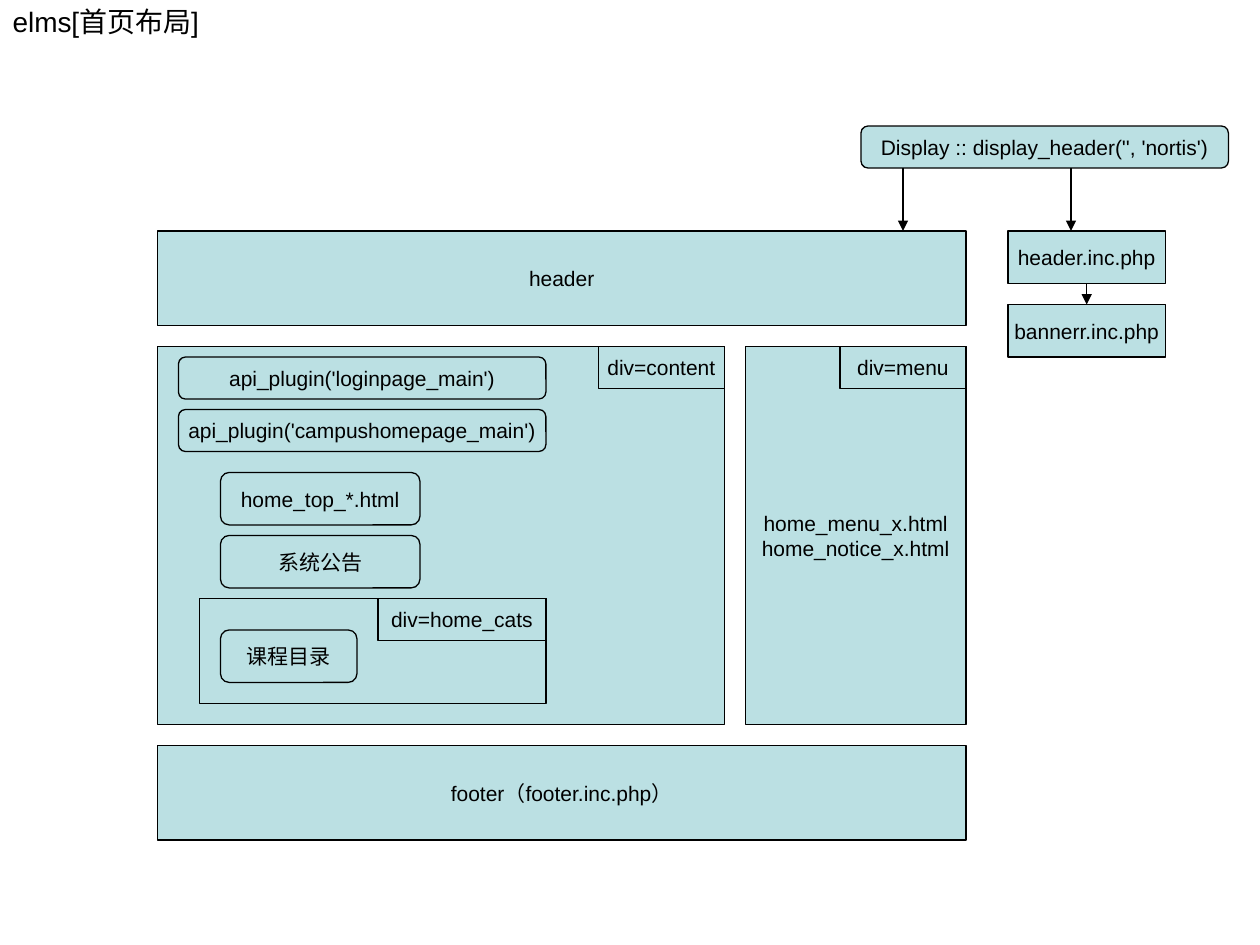
from lxml import etree
from pptx import Presentation
from pptx.dml.color import RGBColor
from pptx.enum.shapes import MSO_CONNECTOR, MSO_SHAPE
from pptx.enum.text import MSO_ANCHOR, MSO_AUTO_SIZE, PP_ALIGN
from pptx.oxml.ns import qn
from pptx.util import Pt

RECT = MSO_SHAPE.FLOWCHART_PROCESS
ROUND = MSO_SHAPE.FLOWCHART_ALTERNATE_PROCESS
LINE = MSO_CONNECTOR.STRAIGHT
LEFT, CENTER = PP_ALIGN.LEFT, PP_ALIGN.CENTER
BOTTOM, TOP = 2, 0

COLORS = {"fill": "BBE0E3", "ink": "000000"}
FRAME = {
    "vertical_anchor": MSO_ANCHOR.MIDDLE,
    "auto_size": MSO_AUTO_SIZE.NONE,
    "margin_left": Pt(7.2), "margin_right": Pt(7.2),
    "margin_top": Pt(3.6), "margin_bottom": Pt(3.6),
}
GAP = 12      # between page regions
TAG_H = 24    # height of a name tag or a call


def color(name):
    return RGBColor.from_string(COLORS[name])


def apply(item, values):
    for key, value in values.items():
        setattr(item, key, value)


def write(shape, text, size, align, wrap):
    frame = shape.text_frame
    frame.text = text
    apply(frame, FRAME)
    frame.word_wrap = wrap
    for par in frame.paragraphs:
        par.alignment = align
        for run in par.runs:
            apply(run.font, {"name": "Arial", "size": Pt(size)})
            run.font.color.rgb = color("ink")


def block(slide, kind, box, text=""):
    shape = slide.shapes.add_shape(kind, *map(Pt, box))
    shape.shadow.inherit = False
    shape.fill.solid()
    shape.fill.fore_color.rgb = color("fill")
    shape.line.color.rgb = color("ink")
    shape.line.width = Pt(0.75)
    if text:
        write(shape, text, 12, CENTER, False)
    return shape


def arrow(slide, x, top, end):
    line = slide.shapes.add_connector(LINE, Pt(x), Pt(top), Pt(x), Pt(end))
    line.line.color.rgb = color("ink")
    line.line.width = Pt(0.75)
    props = line.line._get_or_add_ln()
    etree.SubElement(props, qn("a:tailEnd"), type="triangle")
    etree.SubElement(props.getparent(), qn("a:effectLst"))
    return line


def region(slide, box, name, tag_w, text=""):
    """Box with its name tag in the top right corner."""
    x, y, w, h = box
    block(slide, RECT, box, text)
    block(slide, RECT, (x + w - tag_w, y, tag_w, TAG_H), name)


def title(slide, box):
    head = slide.shapes.title
    x, y, w, h = map(Pt, box)
    apply(head, {"left": x, "top": y, "width": w, "height": h})
    write(head, "elms[首页布局]", 16, LEFT, True)


def content(slide, box):
    x, y, w, h = box
    region(slide, box, "div=content", 72)
    # Plugin calls
    for i, name in enumerate(("loginpage_main", "campushomepage_main")):
        block(slide, ROUND, (x + 12, y + 6 + 30 * i, 210, TAG_H),
              f"api_plugin('{name}')")
    # Page parts
    for i, text in enumerate(("home_top_*.html", "系统公告")):
        block(slide, ROUND, (x + 36, y + 72 + 36 * i, 114, 30), text)
    # Course categories
    region(slide, (x + 24, y + 144, 198, 60), "div=home_cats", 96)
    block(slide, ROUND, (x + 36, y + 162, 78, 30), "课程目录")


def page(slide, box):
    x, y, w, h = box
    bar, menu_w = 54, 126
    mid, mid_h = y + bar + GAP, h - 2 * (bar + GAP)
    block(slide, RECT, (x, y, w, bar), "header")
    content(slide, (x, mid, w - menu_w - GAP, mid_h))
    region(slide, (x + w - menu_w, mid, menu_w, mid_h), "div=menu", 72,
           "home_menu_x.html\nhome_notice_x.html")
    block(slide, RECT, (x, y + h - bar, w, bar), "footer（footer.inc.php）")


def includes(slide, box):
    x, y, w, h = box
    row = (h - GAP) / 2
    first = block(slide, RECT, (x, y, w, row), "header.inc.php")
    last = block(slide, RECT, (x, y + row + GAP, w, row), "bannerr.inc.php")
    link = arrow(slide, x + w / 2, y + row, y + row + GAP)
    link.begin_connect(first, BOTTOM)
    link.end_connect(last, TOP)


def call(slide, box, end):
    x, y, w, h = box
    block(slide, ROUND, box, "Display :: display_header('', 'nortis')")
    for dx in (24, 120):
        arrow(slide, x + dx, y + h, end)


def main():
    deck = Presentation()
    deck.slide_width, deck.slide_height = Pt(720), Pt(540)
    slide = deck.slides.add_slide(deck.slide_layouts[5])
    top = 132
    title(slide, (0, 0, 648, 24))
    page(slide, (90, top, 462, 348))
    includes(slide, (576, top, 90, 72))
    call(slide, (492, 72, 210, TAG_H), top)
    deck.save("out.pptx")


if __name__ == "__main__":
    main()
